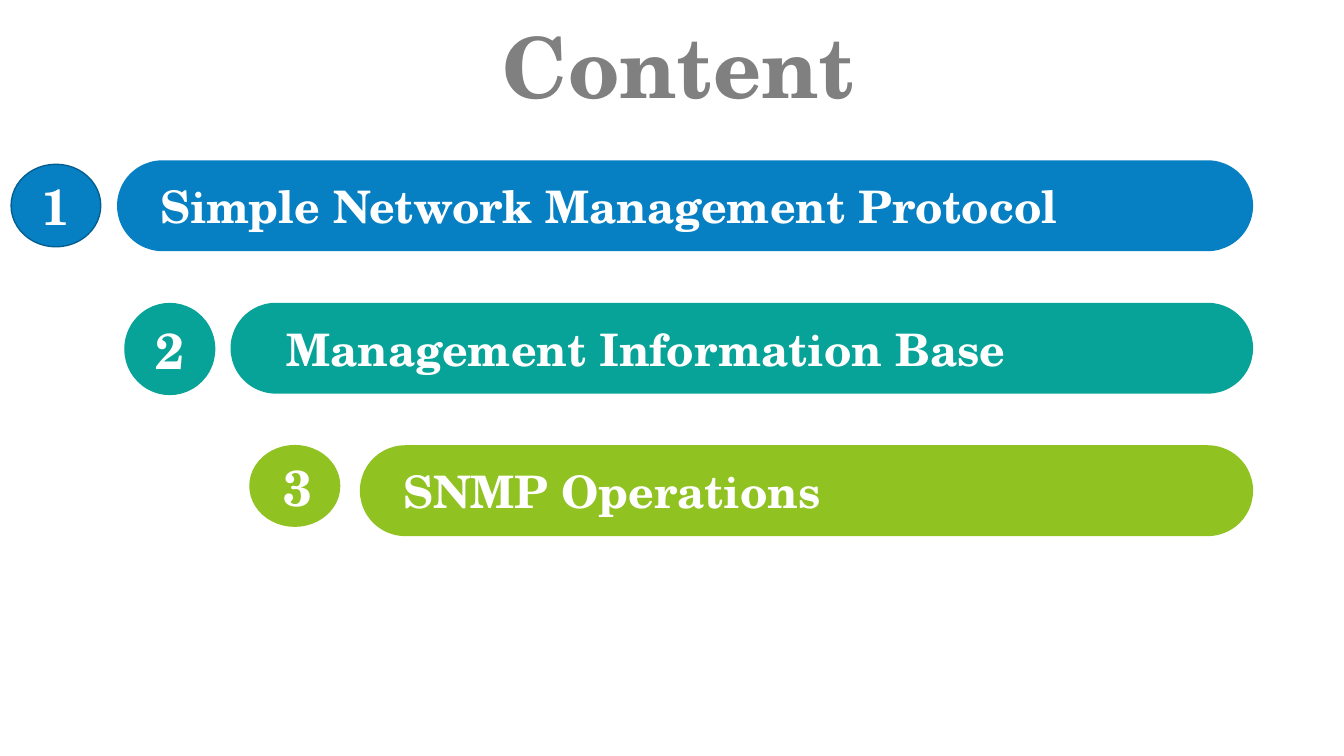
import pptx
import pptx.util
import pptx.dml.color
import pptx.enum.shapes
import pptx.enum.text

Cm = pptx.util.Cm
SHAPE = pptx.enum.shapes.MSO_SHAPE
ALIGN = pptx.enum.text.PP_ALIGN

HEADING = "Content"
TOPICS = [
    {"label": "Simple Network Management Protocol", "color": "blue", "edge": "navy",
     "bar_left": 2.95, "indent": 0.76, "badge": (0.28, 4.14, 2.08), "number_center": 1.41},
    {"label": "Management Information Base", "color": "teal", "edge": "teal",
     "bar_left": 5.81, "indent": 1.07, "badge": (3.15, 7.65, 2.29), "number_center": 4.28},
    {"label": "SNMP Operations", "color": "green", "edge": "green",
     "bar_left": 9.07, "indent": 0.76, "badge": (6.3, 11.23, 2.03), "number_center": 7.51},
]
COLORS = {"blue": "0680C3", "navy": "045F90", "teal": "07A398",
          "green": "90C221", "gray": "808080", "white": "FFFFFF"}
FONT = {"name": "TeX Gyre Schola", "bold": True}

BAR_TOP, BAR_PITCH, BAR_RIGHT, BAR_HEIGHT = 4.04, 3.59, 31.58, 2.29
BADGE_WIDTH = 2.26
NUMBER_WIDTH, NUMBER_HEIGHT = 2.67, 1.8


def rgb(color):
    return pptx.dml.color.RGBColor.from_string(COLORS[color])


def write(part, text, size, color, align=ALIGN.LEFT, side=0.25, right=0.25):
    frame = part.text_frame
    frame.text = text
    layout = {"word_wrap": True, "auto_size": pptx.enum.text.MSO_AUTO_SIZE.NONE,
              "vertical_anchor": pptx.enum.text.MSO_ANCHOR.MIDDLE,
              "margin_left": Cm(side), "margin_right": Cm(right),
              "margin_top": Cm(0.13), "margin_bottom": Cm(0.13)}
    for name, value in layout.items():
        setattr(frame, name, value)
    paragraph = frame.paragraphs[0]
    paragraph.alignment = align
    font = paragraph.runs[0].font
    for name, value in {**FONT, "size": pptx.util.Pt(size)}.items():
        setattr(font, name, value)
    font.color.rgb = rgb(color)


def add_filled(slide, kind, left, top, width, height, color):
    part = slide.shapes.add_shape(kind, Cm(left), Cm(top), Cm(width), Cm(height))
    part.shadow.inherit = False
    part.fill.solid()
    part.fill.fore_color.rgb = rgb(color)
    return part


def add_topic(slide, index, topic):
    left, top, height = topic["badge"]
    badge = add_filled(slide, SHAPE.OVAL, left, top, BADGE_WIDTH, height, topic["color"])
    badge.line.color.rgb = rgb(topic["edge"])
    badge.line.width = pptx.util.Pt(1)

    bar = add_filled(slide, SHAPE.ROUNDED_RECTANGLE, topic["bar_left"],
                     BAR_TOP + index * BAR_PITCH, BAR_RIGHT - topic["bar_left"],
                     BAR_HEIGHT, topic["color"])
    bar.adjustments[0] = 0.5
    bar.line.fill.background()
    write(bar, topic["label"], 32, "white", side=topic["indent"])

    number = slide.shapes.add_textbox(
        Cm(topic["number_center"] - NUMBER_WIDTH / 2),
        Cm(top + (height - NUMBER_HEIGHT) / 2), Cm(NUMBER_WIDTH), Cm(NUMBER_HEIGHT))
    write(number, str(index + 1), 36, "white", ALIGN.CENTER, 0.3, 0.3)


def main():
    deck = pptx.Presentation()
    deck.slide_width, deck.slide_height = Cm(33.87), Cm(19.05)
    slide = deck.slides.add_slide(deck.slide_layouts[5])
    heading = slide.shapes.title
    place = {"left": 12.42, "top": 0.23, "width": 10.62, "height": 2.82}
    for name, value in place.items():
        setattr(heading, name, Cm(value))
    write(heading, HEADING, 60, "gray")
    for index, topic in enumerate(TOPICS):
        add_topic(slide, index, topic)
    deck.save("out.pptx")


if __name__ == "__main__":
    main()
